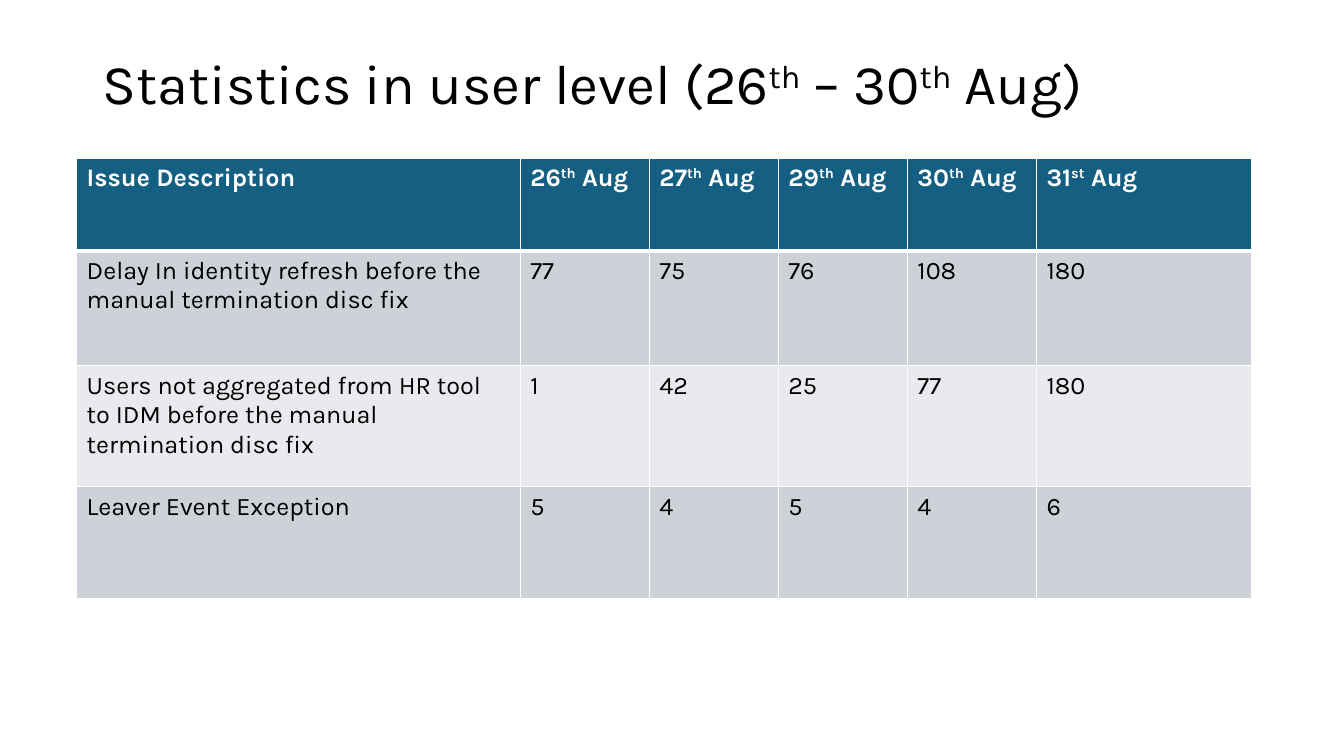
from dataclasses import dataclass

from lxml import etree
from pptx import Presentation
from pptx.dml.color import RGBColor
from pptx.enum import text
from pptx.oxml import ns
from pptx.util import Inches, Pt


@dataclass(frozen=True)
class Theme:
    font: str = "Karla"
    title_size: int = 40
    table_size: int = 18
    ink: str = "000000"
    light: str = "FFFFFF"
    header: str = "156082"
    bands: tuple = ("CCD2D8", "E8EAED")
    rule: int = 1
    header_rule: int = 3


THEME = Theme()

# Text between carets is raised.
TITLE = "Statistics in user level (26^th^ – 30^th^ Aug)"
ROWS = [
    ("Issue Description", "26^th^ Aug", "27^th^ Aug", "29^th^ Aug",
     "30^th^ Aug", "31^st^ Aug"),
    ("Delay In identity refresh before the manual termination disc fix",
     77, 75, 76, 108, 180),
    ("Users not aggregated from HR tool to IDM before the manual "
     "termination disc fix", 1, 42, 25, 77, 180),
    ("Leaver Event Exception", 5, 4, 5, 4, 6),
]
COLUMN_WIDTHS = [4.4] + [1.28] * 4 + [2.13]
ROW_HEIGHTS = [0.92, 1.14, 1.2, 1.11]


def write(p, content, size, color, bold=False):
    """Fill a paragraph, raising the parts between carets."""
    p.font.name = THEME.font
    p.font.size = Pt(size)
    p.font.bold = bold
    p.font.color.rgb = RGBColor.from_string(color)
    for i, part in enumerate(str(content).split("^")):
        r = p.add_run()
        r.text = part
        # Runs carry the font too, so that table and box defaults do not win.
        r.font.name = THEME.font
        r.font.size = Pt(size)
        r.font.bold = bold
        r.font.color.rgb = RGBColor.from_string(color)
        if i % 2:
            r._r.get_or_add_rPr().set("baseline", "30000")


def set_borders(cell, top, bottom):
    tcPr = cell._tc.get_or_add_tcPr()
    widths = {"lnL": THEME.rule, "lnR": THEME.rule, "lnT": top, "lnB": bottom}
    for side, width in widths.items():
        ln = etree.SubElement(tcPr, ns.qn(f"a:{side}"), w=str(Pt(width)))
        fill = etree.SubElement(ln, ns.qn("a:solidFill"))
        etree.SubElement(fill, ns.qn("a:srgbClr"), val=THEME.light)


def add_title(slide, left, top, width, height):
    box = slide.shapes.add_textbox(*map(Inches, (left, top, width, height)))
    tf = box.text_frame
    tf.word_wrap = True
    tf.vertical_anchor = text.MSO_ANCHOR.MIDDLE
    p = tf.paragraphs[0]
    p.line_spacing = 0.9
    write(p, TITLE, THEME.title_size, THEME.ink)


def add_issue_table(slide, left, top):
    frame = slide.shapes.add_table(
        len(ROWS), len(COLUMN_WIDTHS), Inches(left), Inches(top),
        Inches(sum(COLUMN_WIDTHS)), Inches(sum(ROW_HEIGHTS)))
    table = frame.table
    for column, width in zip(table.columns, COLUMN_WIDTHS):
        column.width = Inches(width)
    for i, (row, height, values) in enumerate(
            zip(table.rows, ROW_HEIGHTS, ROWS)):
        row.height = Inches(height)
        is_header = i == 0
        fill = THEME.header if is_header else THEME.bands[(i - 1) % 2]
        color = THEME.light if is_header else THEME.ink
        top_rule = THEME.header_rule if i == 1 else THEME.rule
        bottom_rule = THEME.header_rule if is_header else THEME.rule
        for cell, value in zip(row.cells, values):
            set_borders(cell, top_rule, bottom_rule)
            cell.fill.solid()
            cell.fill.fore_color.rgb = RGBColor.from_string(fill)
            write(cell.text_frame.paragraphs[0], value, THEME.table_size,
                  color, bold=is_header)


def main():
    prs = Presentation()
    prs.slide_width, prs.slide_height = Inches(13.33), Inches(7.5)
    slide = prs.slides.add_slide(prs.slide_layouts[6])
    add_title(slide, 0.92, 0.4, 11.5, 0.92)
    add_issue_table(slide, 0.76, 1.57)
    prs.save("out.pptx")


if __name__ == "__main__":
    main()
